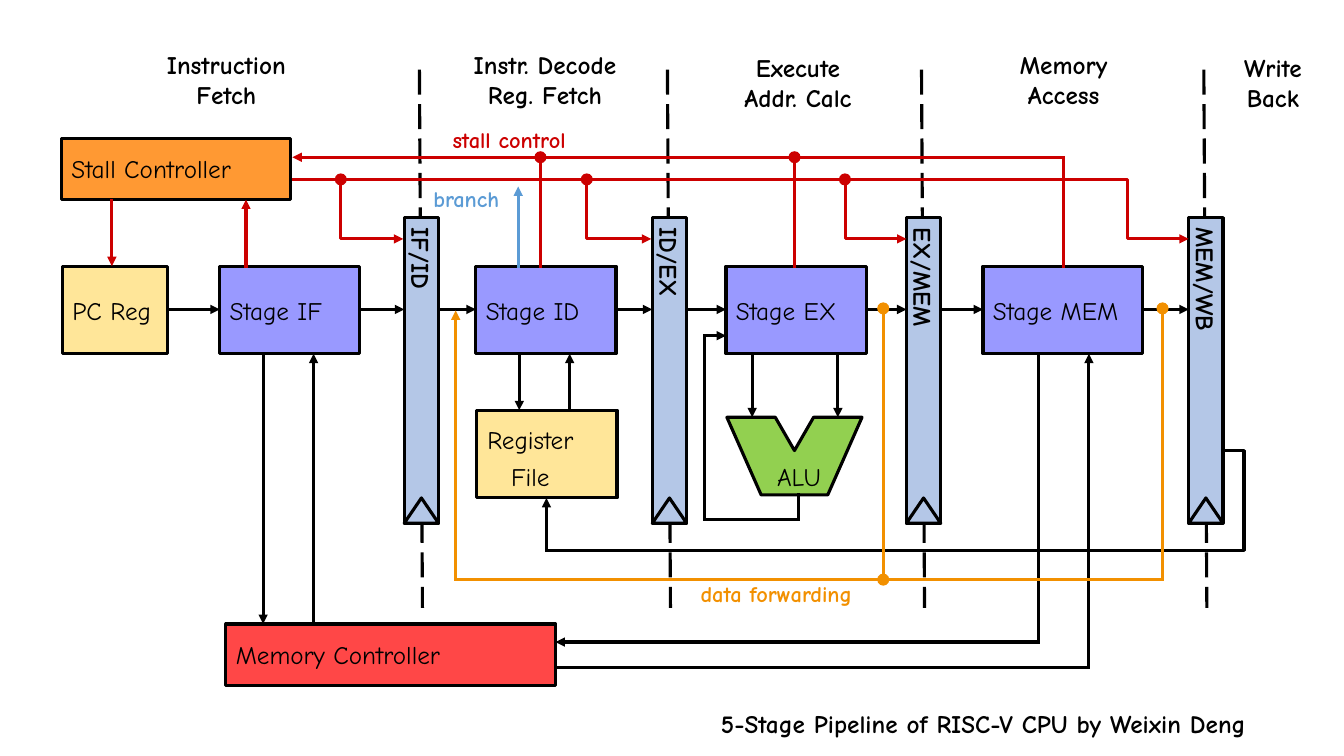
import pptx
import pptx.util
import pptx.dml.color
import pptx.enum.dml
import pptx.enum.shapes
import pptx.enum.text
import pptx.oxml.ns
import pptx.oxml.xmlchemy

Inches = pptx.util.Inches
Pt = pptx.util.Pt
SHAPE = pptx.enum.shapes.MSO_SHAPE
CONNECTOR = pptx.enum.shapes.MSO_CONNECTOR
ALIGN = pptx.enum.text.PP_ALIGN
ANCHOR = pptx.enum.text.MSO_ANCHOR
new_element = pptx.oxml.xmlchemy.OxmlElement

BLACK, RED, ORANGE, BLUE = "000000", "CC0000", "F29000", "5B9BD5"
STAGE, STORE, BAR = "9999FF", "FFE699", "B4C7E7"
FACE = "Comic Neue"
LINE_WIDTH = 2.25
DOT = 0.12


def paint(colour_format, hex_colour):
    colour_format.rgb = pptx.dml.color.RGBColor.from_string(hex_colour)


def apply(target, values):
    for name, value in values.items():
        setattr(target, name, value)


def write(frame, text, size=18, colour=BLACK, bold=False, spacing=None,
          align=ALIGN.LEFT, anchor=ANCHOR.TOP, wrap=True):
    frame.text = text
    apply(frame, {"word_wrap": wrap, "vertical_anchor": anchor,
                  "auto_size": pptx.enum.text.MSO_AUTO_SIZE.NONE})
    for paragraph in frame.paragraphs:
        apply(paragraph, {"alignment": align, "line_spacing": spacing})
        for run in paragraph.runs:
            apply(run.font, {"name": FACE, "size": Pt(size), "bold": bold})
            paint(run.font.color, colour)


def label(slide, box, text, **style):
    write(slide.shapes.add_textbox(*map(Inches, box)).text_frame, text, **style)


def outline(shape, fill, edge=BLACK):
    shape.shadow.inherit = False
    shape.fill.solid()
    paint(shape.fill.fore_color, fill)
    if edge:
        paint(shape.line.color, edge)
        shape.line.width = Pt(LINE_WIDTH)
    else:
        shape.line.fill.background()
    return shape


def block(slide, kind, box, fill, edge=BLACK):
    return outline(slide.shapes.add_shape(kind, *map(Inches, box)), fill, edge)


def dot(slide, x, y, colour):
    block(slide, SHAPE.OVAL, (x - DOT / 2, y - DOT / 2, DOT, DOT), colour, None)


def link(slide, start, end, colour, arrow, kind=CONNECTOR.STRAIGHT):
    connector = slide.shapes.add_connector(kind, *map(Inches, (*start, *end)))
    paint(connector.line.color, colour)
    connector.line.width = Pt(LINE_WIDTH)
    if arrow:
        tail = new_element("a:tailEnd")
        tail.set("type", "triangle")
        connector.line._get_or_add_ln().append(tail)
    connector._element.spPr.append(new_element("a:effectLst"))
    return connector


def wire(slide, points, colour=BLACK, arrow=True):
    last = len(points) - 2
    for i, (start, end) in enumerate(zip(points, points[1:])):
        connector = link(slide, start, end, colour, arrow and i == last)
        connector.line._get_or_add_ln().set("cap", "sq")


def elbow(slide, start, end, turn_x, colour=BLACK, arrow=True):
    connector = link(slide, start, end, colour, arrow, CONNECTOR.ELBOW)
    turn = round((turn_x - start[0]) / (end[0] - start[0]) * 100000)
    guide = new_element("a:gd")
    guide.set("name", "adj1")
    guide.set("fmla", f"val {turn}")
    geometry = connector._element.spPr.find(pptx.oxml.ns.qn("a:prstGeom"))
    geometry.get_or_add_avLst().append(guide)


def draw_pipeline_register(slide, box, name):
    x, y, w, h = box
    middle = x + w / 2
    divider = link(slide, (middle - 0.02, y - 1.47), (middle + 0.01, y + 3.87), BLACK, False)
    divider.line.dash_style = pptx.enum.dml.MSO_LINE.LONG_DASH
    bar = block(slide, SHAPE.RECTANGLE, box, BAR)
    write(bar.text_frame, name, bold=True, align=ALIGN.CENTER,
          anchor=ANCHOR.MIDDLE, wrap=False)
    bar.text_frame._txBody.bodyPr.set("vert", "eaVert")
    block(slide, SHAPE.ISOSCELES_TRIANGLE, (x, y + h - 0.25, w, 0.25), BAR)


def draw_unit(slide, box, name, fill, **style):
    unit = block(slide, SHAPE.RECTANGLE, box, fill)
    write(unit.text_frame, name, anchor=ANCHOR.MIDDLE, **style)
    return unit


def draw_register_file(slide, box):
    x, y, w, h = box
    store = draw_unit(slide, box, "Register\nFile", STORE, spacing=Pt(27),
                      align=ALIGN.CENTER, wrap=False)
    store.text_frame.margin_right = Inches(0.43)
    wire(slide, [(x + 0.42, y - 0.56), (x + 0.42, y)])
    wire(slide, [(x + 0.92, y), (x + 0.92, y - 0.56)])


def draw_alu(slide, box):
    x, y, w, h = box
    corners = [(0, 0), (0.34, h), (w - 0.34, h), (w, 0), (0.86, 0), (0.67, 0.33), (0.48, 0)]
    points = [(Inches(x + dx), Inches(y + dy)) for dx, dy in corners]
    builder = slide.shapes.build_freeform(*points[0])
    builder.add_line_segments(points[1:], close=True)
    outline(builder.convert_to_shape(), "92D050")
    label(slide, (x + 0.36, y + 0.31, 0.71, 0.45), "ALU", spacing=Pt(27),
          align=ALIGN.CENTER, wrap=False)
    for dx in (0.25, 1.1):
        wire(slide, [(x + dx, y - 0.63), (x + dx, y)])
    wire(slide, [(x + 0.71, y + h), (x + 0.71, y + 1.01), (x - 0.22, y + 1.01),
                 (x - 0.22, y - 0.81), (x - 0.01, y - 0.81)])


def draw_stall_control(slide, box):
    x, y, w, h = box
    supply, target = y + 0.22, y + 0.81
    branches = [(0.02, 0.48, 1.1), (0, 2.92, 3.56), (2.14, 5.48, 6.09), (4.93, 8.28, 8.89)]
    for start, turn, end in branches:
        elbow(slide, (x + start, supply), (x + end, target), x + turn, RED)
    for _, turn, _ in branches[:-1]:
        dot(slide, x + turn, supply, RED)
    wire(slide, [(x + w, y + h), (x + w, y), (x, y)], RED)
    for request in (2.46, 4.98):
        wire(slide, [(x + request, y), (x + request, y + h)], RED, False)
        dot(slide, x + request, y, RED)
    wire(slide, [(x - 1.79, y + 0.43), (x - 1.79, y + h)], RED)
    wire(slide, [(x - 0.46, y + h), (x - 0.46, y + 0.42)], RED)
    wire(slide, [(x + 2.24, y + h), (x + 2.24, y + 0.29)], BLUE)
    label(slide, (x + 1.49, y - 0.36, 1.97, 0.37), "stall control",
          size=16, colour=RED, bold=True)
    label(slide, (x + 1.3, y + 0.23, 1.97, 0.37), "branch",
          size=16, colour=BLUE, bold=True)


def draw_forwarding(slide, box):
    x, y, w, h = box
    ex = x + 4.24
    wire(slide, [(x + w, y), (x + w, y + h), (x, y + h), (x, y + 0.02)], ORANGE)
    wire(slide, [(ex, y), (ex, y + h)], ORANGE, False)
    for spot in ((x + w, y), (ex, y), (ex, y + h)):
        dot(slide, *spot, ORANGE)
    label(slide, (x + 2.33, y + h - 0.04, 1.97, 0.37), "data forwarding",
          size=16, colour=ORANGE, bold=True)


def draw_write_back(slide, box):
    x, y, w, h = box
    elbow(slide, (x, y + h), (x + w, y), x + w + 0.21, arrow=False)
    wire(slide, [(x, y + h), (x, y + h - 0.52)])


def draw_memory_controller(slide, box):
    x, y, w, h = box
    draw_unit(slide, box, "Memory Controller", "FF4747")
    stage_bottom = y - 2.68
    wire(slide, [(x + 0.37, stage_bottom), (x + 0.37, y)])
    wire(slide, [(x + 0.87, y), (x + 0.87, stage_bottom)])
    wire(slide, [(x + 8.06, stage_bottom), (x + 8.06, y + 0.18), (x + w, y + 0.18)])
    wire(slide, [(x + w, y + 0.43), (x + 8.56, y + 0.43), (x + 8.56, stage_bottom)])


def draw_pipeline(slide, box):
    x, y, w, h = box
    stages = [("PC Reg", 0, 1.04, STORE), ("Stage IF", 1.56, 1.39, STAGE),
              ("Stage ID", 4.1, 1.39, STAGE), ("Stage EX", 6.58, 1.39, STAGE),
              ("Stage MEM", 9.13, 1.58, STAGE)]
    registers = [("IF/ID", 3.39), ("ID/EX", 5.85), ("EX/MEM", 8.37), ("MEM/WB", 11.17)]
    for name, left in registers:
        draw_pipeline_register(slide, (x + left, y - 0.48, 0.34, 3.03), name)
    for name, left, width, fill in stages:
        draw_unit(slide, (x + left, y, width, h), name, fill)
    spans = sorted([(left, left + width) for _, left, width, _ in stages]
                   + [(left, left + 0.34) for _, left in registers])
    for (_, out), (into, _) in zip(spans, spans[1:]):
        wire(slide, [(x + out, y + 0.43), (x + into, y + 0.43)])


def draw_headings(slide, box):
    x, y, w, h = box
    headings = [("Instruction\nFetch", 0, 0, 1.55), ("Instr. Decode\nReg. Fetch", 2.97, 0, 1.93),
                ("Execute\nAddr. Calc", 5.4, 0.03, 2.09), ("Memory\nAccess", 8.5, 0, 1.16),
                ("Write\nBack", 10.65, 0.03, 1.01)]
    for text, left, drop, width in headings:
        label(slide, (x + left, y + drop, width, h), text, bold=True, align=ALIGN.CENTER)


def draw_title(slide, box):
    title = slide.shapes.title
    apply(title, dict(zip(("left", "top", "width", "height"), map(Inches, box))))
    write(title.text_frame, "5-Stage Pipeline of RISC-V CPU by Weixin Deng", bold=True)


deck = pptx.Presentation()
apply(deck, {"slide_width": Inches(13.33), "slide_height": Inches(7.5)})
cpu = deck.slides.add_slide(deck.slide_layouts[5])
draw_title(cpu, (7.05, 6.98, 6.2, 0.4))
draw_headings(cpu, (1.47, 0.44, 11.66, 0.7))
draw_pipeline(cpu, (0.62, 2.64, 11.51, 0.87))
draw_register_file(cpu, (4.73, 4.07, 1.39, 0.87))
draw_alu(cpu, (7.21, 4.14, 1.34, 0.77))
draw_unit(cpu, (0.61, 1.37, 2.27, 0.61), "Stall Controller", "FF9933")
draw_write_back(cpu, (5.42, 4.47, 6.71, 0.99))
draw_stall_control(cpu, (2.9, 1.56, 7.65, 1.08))
draw_memory_controller(cpu, (2.24, 6.19, 3.27, 0.61))
draw_forwarding(cpu, (4.52, 3.06, 7.01, 2.69))
deck.save("out.pptx")
